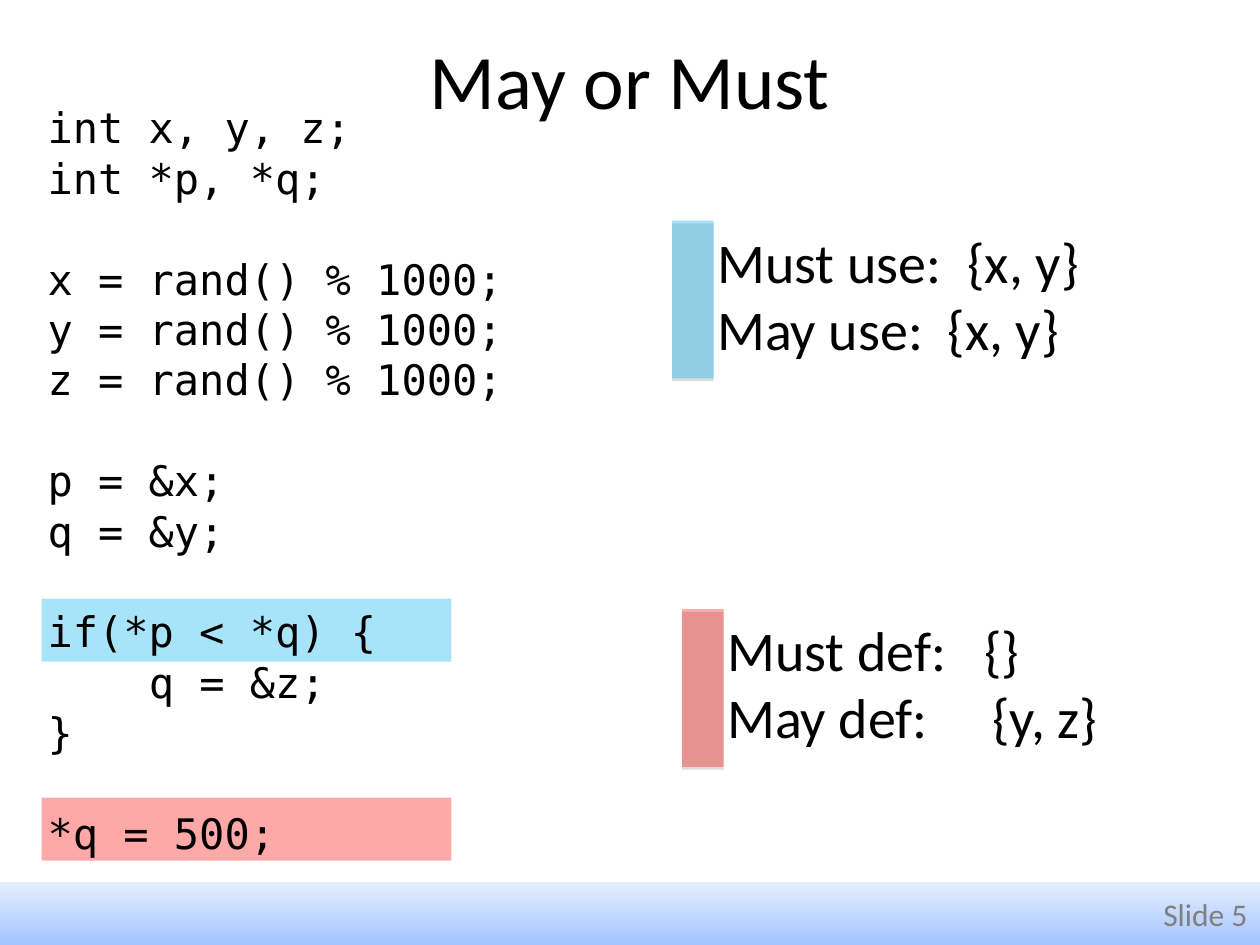
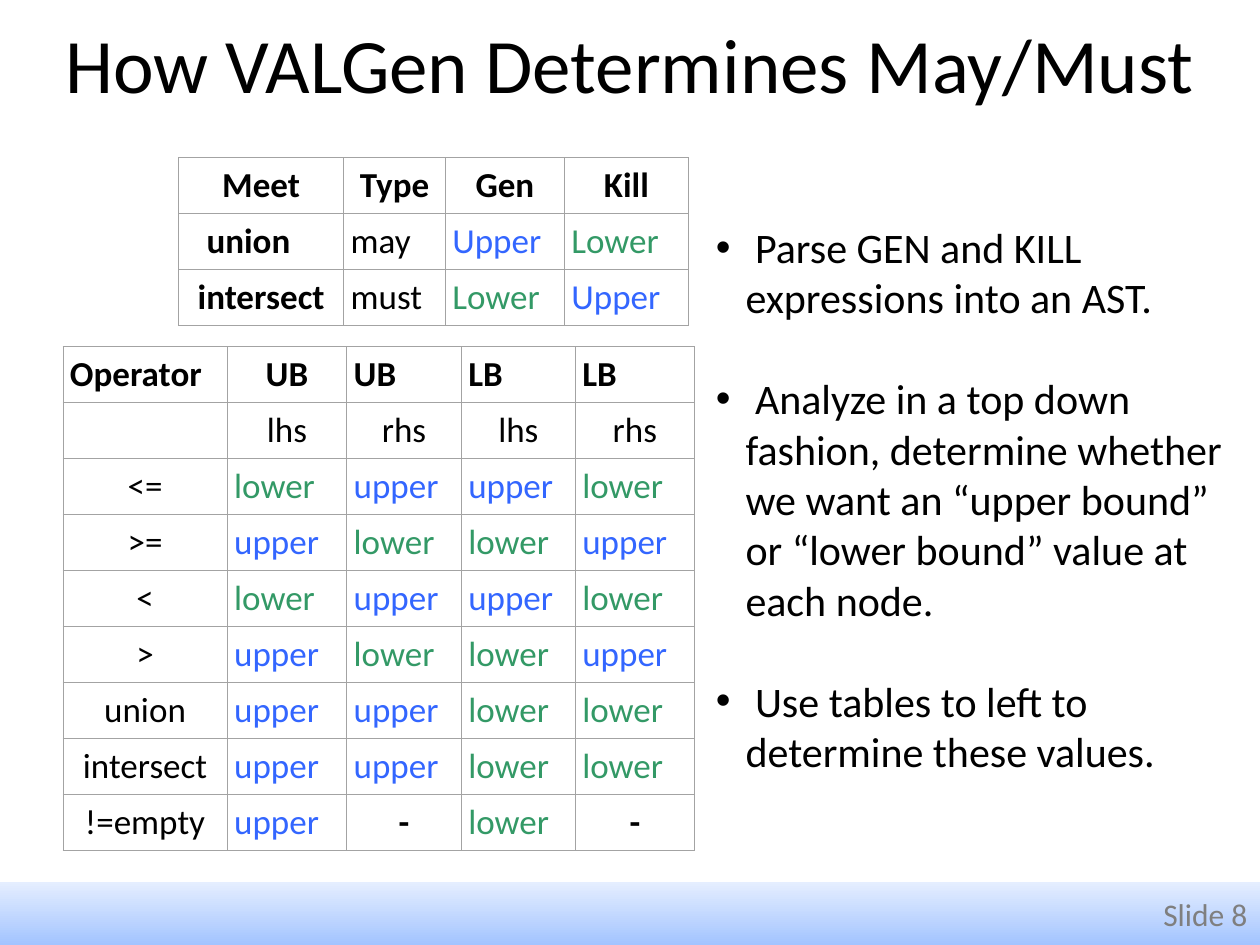
from lxml.etree import SubElement as Sub
from pptx import Presentation
from pptx.dml.color import RGBColor
from pptx.enum.shapes import MSO_SHAPE as Kind
from pptx.enum.text import MSO_ANCHOR as Anchor, MSO_AUTO_SIZE as Auto, PP_ALIGN as Align
from pptx.oxml.ns import qn
from pptx.util import Cm, Pt

SANS, MONO = "Calibri", "DejaVu Sans Mono"
BLACK, GREY, RULE = "000000", "7F7F7F", "A3A3A3"
PALE, DEEP = "E5EEFF", "A3C4FF"
CYAN, RED = "00B0F0", "FF0000"
TINTS = {"upper": "3366FF", "lower": "339966"}
WIDE, HIGH = 25.4, 19.05
ROW = 1.13

CODE = [
    ["int x, y, z;", "int *p, *q;"],
    ["x = rand() % 1000;", "y = rand() % 1000;", "z = rand() % 1000;"],
    ["p = &x;", "q = &y;"],
    ["if(*p < *q) {", "\tq = &z;", "}"],
    ["*q = 500;"],
]
USES = [("Must use:", "{x, y}", 5.04), ("May use:", "{x, y}", 4.64)]
DEFS = [("Must def:", "{}", 5.18), ("May def:", "{y, z}", 5.34)]
MEETS = [
    ["Meet", "Type", "Gen", "Kill"],
    ["union", "may", "Upper", "Lower"],
    ["intersect", "must", "Lower", "Upper"],
]
SIDES = ["lower", "upper", "upper", "lower"]
FLIPS = ["upper", "lower", "lower", "upper"]
BOTH = ["upper", "upper", "lower", "lower"]
BOUNDS = [
    ["Operator", "UB", "UB", "LB", "LB"],
    ["", "lhs", "rhs", "lhs", "rhs"],
    ["<=", *SIDES],
    [">=", *FLIPS],
    ["<", *SIDES],
    [">", *FLIPS],
    ["union", *BOTH],
    ["intersect", *BOTH],
    ["!=empty", "upper", "-", "lower", "-"],
]
POINTS = [
    " Parse GEN and KILL expressions into an AST.",
    " Analyze in a top down fashion, determine whether we want an “upper bound” "
    "or “lower bound” value at each node.",
    " Use tables to left to determine these values.",
]


def rgb(code):
    """Turn a hex string into a colour."""
    return RGBColor.from_string(code)


def add_run(para, text, size, tint=BLACK, face=SANS, bold=False):
    """Add one formatted run to a paragraph."""
    run = para.add_run()
    run.text = text
    font = run.font
    font.name, font.size, font.bold = face, Pt(size), bold
    font.color.rgb = rgb(tint)


def add_text(slide, box):
    """Add an empty wrapping text box and return its frame."""
    frame = slide.shapes.add_textbox(*map(Cm, box)).text_frame
    frame.word_wrap = True
    return frame


def next_para(frame, first, pitch):
    """Return the first or a new paragraph with a fixed line pitch."""
    para = frame.paragraphs[0] if first else frame.add_paragraph()
    para.line_spacing = Pt(pitch)
    return para


def add_rect(slide, box, shade=False):
    """Add a rectangle without outline, with a thin shadow on request."""
    rect = slide.shapes.add_shape(Kind.RECTANGLE, *map(Cm, box))
    rect.line.fill.background()
    rect.shadow.inherit = False
    if shade:
        glow = rect._element.spPr.find(qn("a:effectLst"))
        cast = Sub(glow, qn("a:outerShdw"), dist="20000",
                   dir="5400000", rotWithShape="0")
        dark = Sub(cast, qn("a:srgbClr"), val=BLACK)
        Sub(dark, qn("a:alpha"), val="38000")
    return rect


def add_tint(slide, box, tint, shade=False):
    """Add a see-through coloured rectangle."""
    rect = add_rect(slide, box, shade)
    rect.fill.solid()
    rect.fill.fore_color.rgb = rgb(tint)
    solid = rect._element.spPr.find(qn("a:solidFill"))
    Sub(solid[0], qn("a:alpha"), val="34000")


def add_band(slide, box, label):
    """Add the footer band with the slide label."""
    band = add_rect(slide, box, True)
    band.fill.gradient()
    band.fill.gradient_angle = 90
    for stop, tint in zip(band.fill.gradient_stops, (DEEP, PALE)):
        stop.color.rgb = rgb(tint)
    frame = band.text_frame
    frame.vertical_anchor = Anchor.MIDDLE
    para = frame.paragraphs[0]
    para.alignment = Align.RIGHT
    add_run(para, label, 18, GREY)


def start_slide(deck, text, num, box, anchor):
    """Add a slide with its title and footer band."""
    slide = deck.slides.add_slide(deck.slide_layouts[5])
    title = slide.shapes.title
    title.left, title.top, title.width, title.height = map(Cm, box)
    frame = title.text_frame
    frame.auto_size, frame.vertical_anchor = Auto.NONE, anchor
    para = frame.paragraphs[0]
    para.alignment = Align.CENTER
    add_run(para, text, 44)
    add_band(slide, (0, HIGH - 1.27, WIDE, 1.27), f"Slide {num}")
    return slide


def add_code(slide, box):
    """Add the code listing over its two marked lines."""
    left, top, *_ = box
    for drop, tint in ((14.15, RED), (10.14, CYAN)):
        add_tint(slide, (left + 0.13, top + drop, 8.26, 1.27), tint)
    frame = add_text(slide, box)
    pitch = 28.8
    for part, block in enumerate(CODE):
        for row, line in enumerate(block):
            para = next_para(frame, part == row == 0, pitch)
            if part and row == 0:
                para.space_before = Pt(pitch)
            if line.startswith("\t"):
                para._p.get_or_add_pPr().set("marL", str(Cm(2.04)))
            add_run(para, line.strip(), 24, face=MONO)


def add_sets(slide, box, lines, tint):
    """Add a pair of must and may sets beside a coloured bar."""
    left, top, width, height = box
    frame = add_text(slide, (left + 0.66, top, width - 0.66, height))
    for row, (name, value, stop) in enumerate(lines):
        para = next_para(frame, row == 0, 38.5)
        tabs = Sub(para._p.get_or_add_pPr(), qn("a:tabLst"))
        Sub(tabs, qn("a:tab"), pos=str(Cm(stop)), algn="l")
        add_run(para, f"{name}\t{value}", 32)
    add_tint(slide, (left, top, 0.84, height), tint, True)


def add_edges(cell):
    """Draw thin grey borders round a cell."""
    props = cell._tc.get_or_add_tcPr()
    for side in "LRTB":
        edge = Sub(props, qn(f"a:ln{side}"), w=str(Pt(0.45)))
        Sub(Sub(edge, qn("a:solidFill")), qn("a:srgbClr"), val=RULE)


def add_grid(slide, spot, cols, rows, is_mid, is_bold):
    """Add a table whose words upper and lower are coloured."""
    size = (sum(cols), ROW * len(rows))
    grid = slide.shapes.add_table(len(rows), len(cols), *map(Cm, spot + size)).table
    grid.first_row = grid.horz_banding = False
    for col, width in zip(grid.columns, cols):
        col.width = Cm(width)
    for r, words in enumerate(rows):
        grid.rows[r].height = Cm(ROW)
        for c, word in enumerate(words):
            cell = grid.cell(r, c)
            add_edges(cell)
            cell.fill.background()
            cell.margin_left = cell.margin_right = Cm(0.14)
            if word:
                para = cell.text_frame.paragraphs[0]
                para.alignment = Align.CENTER if is_mid(r, c, word) else Align.LEFT
                tint = TINTS.get(word.lower(), BLACK)
                add_run(para, word, 20, tint, bold=is_bold(r, c, word))
    return grid


def add_points(slide, box):
    """Add the bulleted notes."""
    frame = add_text(slide, box)
    for row, text in enumerate(POINTS):
        para = next_para(frame, row == 0, 28.8)
        if row:
            para.space_before = Pt(28.8)
        props = para._p.get_or_add_pPr()
        props.set("marL", str(Cm(0.6)))
        props.set("indent", str(Cm(-0.6)))
        Sub(props, qn("a:buFont"), typeface="Arial")
        Sub(props, qn("a:buChar"), char="•")
        add_run(para, text, 24)


def make_code(deck):
    """Build the slide on may and must sets."""
    slide = start_slide(deck, "May or Must", 5, (1.27, 0, 22.86, 3.18), Anchor.MIDDLE)
    add_code(slide, (0.71, 1.93, 10.6, 15.49))
    add_sets(slide, (13.55, 4.45, 10, 3.18), USES, CYAN)
    add_sets(slide, (13.75, 12.28, 10, 3.18), DEFS, RED)


def make_rules(deck):
    """Build the slide on the rule tables."""
    slide = start_slide(deck, "How VALGen Determines May/Must", 8,
                        (0.42, 0.21, 24.56, 3.18), Anchor.TOP)
    meets = add_grid(slide, (3.6, 3.18), (3.33, 2.05, 2.4, 2.5), MEETS,
                     lambda r, c, word: r == 0 or c == 0,
                     lambda r, c, word: r == 0 or c == 0)
    meets.cell(1, 0).margin_right = Cm(0.65)
    add_grid(slide, (1.27, 6.99), (3.31, 2.41, 2.31, 2.3, 2.4), BOUNDS,
             lambda r, c, word: c == 1 if r == 0 else word not in TINTS,
             lambda r, c, word: r == 0 or word == "-")
    add_points(slide, (14.18, 4.34, 11.22, 11.43))


def main():
    """Build and save the deck."""
    deck = Presentation()
    deck.slide_width, deck.slide_height = Cm(WIDE), Cm(HIGH)
    make_code(deck)
    make_rules(deck)
    deck.save("out.pptx")


if __name__ == "__main__":
    main()
